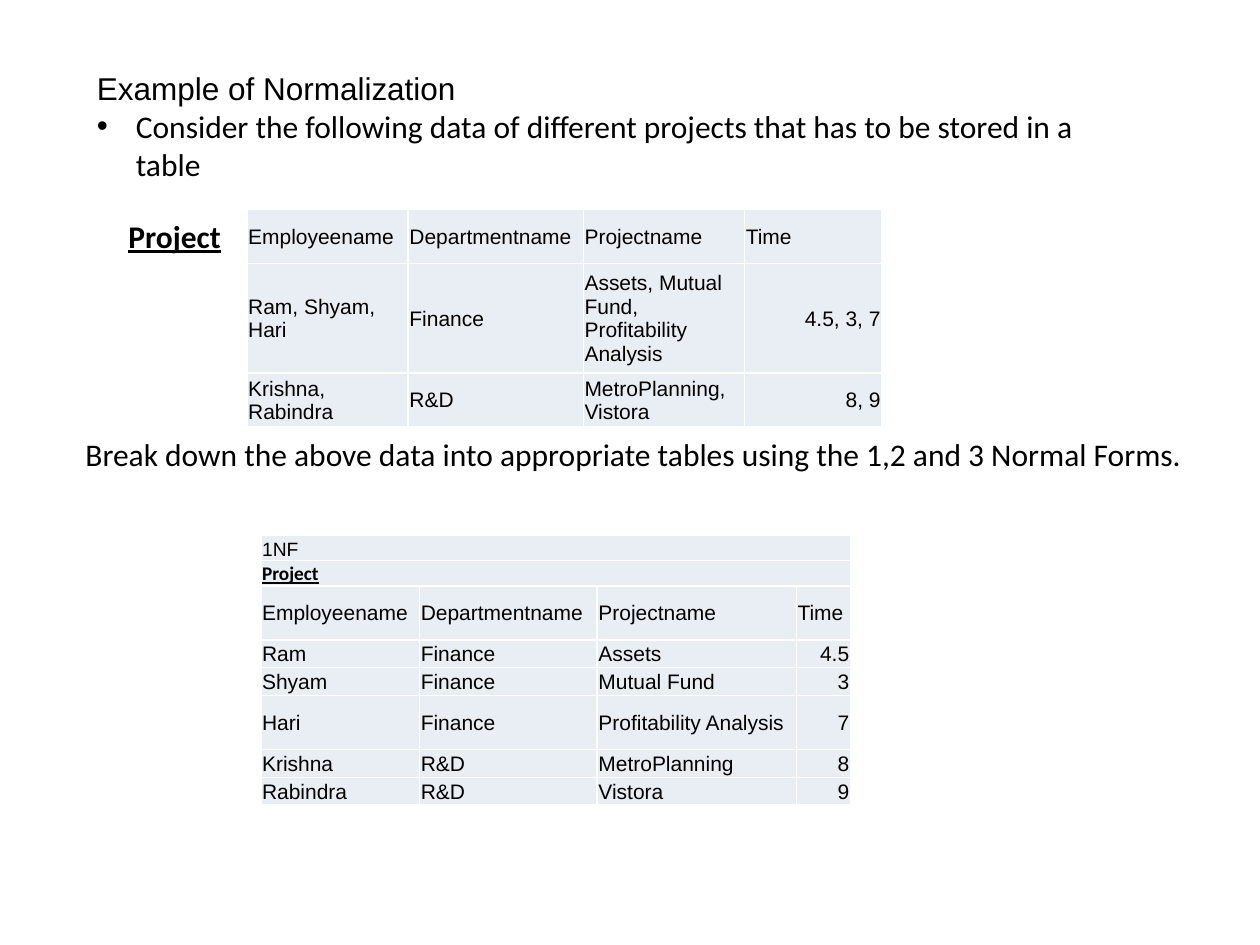
from lxml import etree
from pptx import Presentation
from pptx.dml.color import RGBColor
from pptx.enum.text import MSO_ANCHOR, MSO_AUTO_SIZE, PP_ALIGN
from pptx.oxml.ns import qn
from pptx.util import Inches, Pt

LEFT, RIGHT = PP_ALIGN.LEFT, PP_ALIGN.RIGHT
MIDDLE, BOTTOM = MSO_ANCHOR.MIDDLE, MSO_ANCHOR.BOTTOM
GROW = MSO_AUTO_SIZE.SHAPE_TO_FIT_TEXT
COLORS = {"text": "000000", "cell": "E9EDF4", "border": "FFFFFF"}

# The slide is a grid of 100 columns by 75 rows of square units
UNIT = Inches(0.1)


def units(*counts):
    return [round(count * UNIT) for count in counts]


def write(paragraph, text, font="Calibri", size=18, strong=False, align=LEFT):
    """Add text; strong means bold and underlined."""
    paragraph.alignment = align
    run = paragraph.add_run()
    run.text = text
    run.font.name = font
    run.font.size = Pt(size)
    run.font.bold = run.font.underline = strong
    run.font.color.rgb = RGBColor.from_string(COLORS["text"])


presentation = Presentation()
presentation.slide_width, presentation.slide_height = units(100, 75)
slide = presentation.slides.add_slide(presentation.slide_layouts[6])

# Tables: a row with one entry is a caption across all columns
header = ["Employeename", "Departmentname", "Projectname", "Time"]
tables = [
    {
        "place": (19.6, 16.6),
        "columns": (12.8, 13.9, 12.8, 10.9),
        "rows": (4.3, 8.7, 4.3),
        "cells": [
            header,
            ["Ram, Shyam, Hari", "Finance",
             "Assets, Mutual Fund, Profitability Analysis", "4.5, 3, 7"],
            ["Krishna, Rabindra", "R&D", "MetroPlanning, Vistora", "8, 9"],
        ],
    },
    {
        "place": (20.7, 42.5),
        "columns": (12.6, 14.1, 15.8, 4.3),
        "rows": (2, 2, 4.3, 2.2, 2.2, 4.3, 2.2, 2.2),
        "cells": [
            ["1NF"],
            ["Project"],
            header,
            ["Ram", "Finance", "Assets", "4.5"],
            ["Shyam", "Finance", "Mutual Fund", "3"],
            ["Hari", "Finance", "Profitability Analysis", "7"],
            ["Krishna", "R&D", "MetroPlanning", "8"],
            ["Rabindra", "R&D", "Vistora", "9"],
        ],
    },
]

for data in tables:
    widths, heights = units(*data["columns"]), units(*data["rows"])
    table = slide.shapes.add_table(
        len(heights), len(widths), *units(*data["place"]),
        sum(widths), sum(heights)).table
    table.first_row = table.horz_banding = False
    for column, width in zip(table.columns, widths):
        column.width = width
    for row, height in zip(table.rows, heights):
        row.height = height

    # Cell frame: white borders, pale fill, almost no margins
    for cell in table.iter_cells():
        properties = cell._tc.get_or_add_tcPr()
        for side in ("a:lnL", "a:lnR", "a:lnT", "a:lnB"):
            line = etree.SubElement(properties, qn(side), w=str(Pt(1)))
            fill = etree.SubElement(line, qn("a:solidFill"))
            etree.SubElement(fill, qn("a:srgbClr"), val=COLORS["border"])
        cell.fill.solid()
        cell.fill.fore_color.rgb = RGBColor.from_string(COLORS["cell"])
        cell.margin_left = cell.margin_top = cell.margin_right = Inches(0.01)
        cell.margin_bottom = 0

    # Cell text: numbers below the header are right-aligned
    for row_index, entries in enumerate(data["cells"]):
        caption = len(entries) == 1
        if caption:
            table.cell(row_index, 0).merge(
                table.cell(row_index, len(widths) - 1))
        for column_index, text in enumerate(entries):
            cell = table.cell(row_index, column_index)
            cell.vertical_anchor = BOTTOM if caption else MIDDLE
            strong = text == "Project"
            write(cell.text_frame.paragraphs[0], text,
                  font="Calibri" if strong else "Arial",
                  size=11 if caption else 12, strong=strong,
                  align=RIGHT if text[0].isdigit() and not caption else LEFT)

# Text boxes: place, wrapping, and a list of (text, format, bulleted)
text_boxes = [
    ((6.7, 5, 82.5, 10.1), True, [
        ("Example of Normalization", {"font": "Arial"}, False),
        ("Consider the following data of different projects that has to be "
         "stored in a table", {}, True),
    ]),
    ((5.8, 34, 90, 4), True, [
        ("Break down the above data into appropriate tables using the "
         "1,2 and 3 Normal Forms.", {}, False),
    ]),
    ((9.2, 16.7, 9.4, 4), False, [("Project", {"strong": True}, False)]),
]

for place, wrap, lines in text_boxes:
    text_frame = slide.shapes.add_textbox(*units(*place)).text_frame
    text_frame.word_wrap = wrap
    text_frame.auto_size = GROW
    for index, (text, text_format, bulleted) in enumerate(lines):
        paragraph = (text_frame.add_paragraph() if index
                     else text_frame.paragraphs[0])
        if bulleted:
            properties = paragraph._p.get_or_add_pPr()
            indent = Inches(0.31)
            properties.set("marL", str(indent))
            properties.set("indent", str(-indent))
            etree.SubElement(properties, qn("a:buFont"), typeface="Arial")
            etree.SubElement(properties, qn("a:buChar"), char="•")
        write(paragraph, text, **text_format)

presentation.save("out.pptx")
